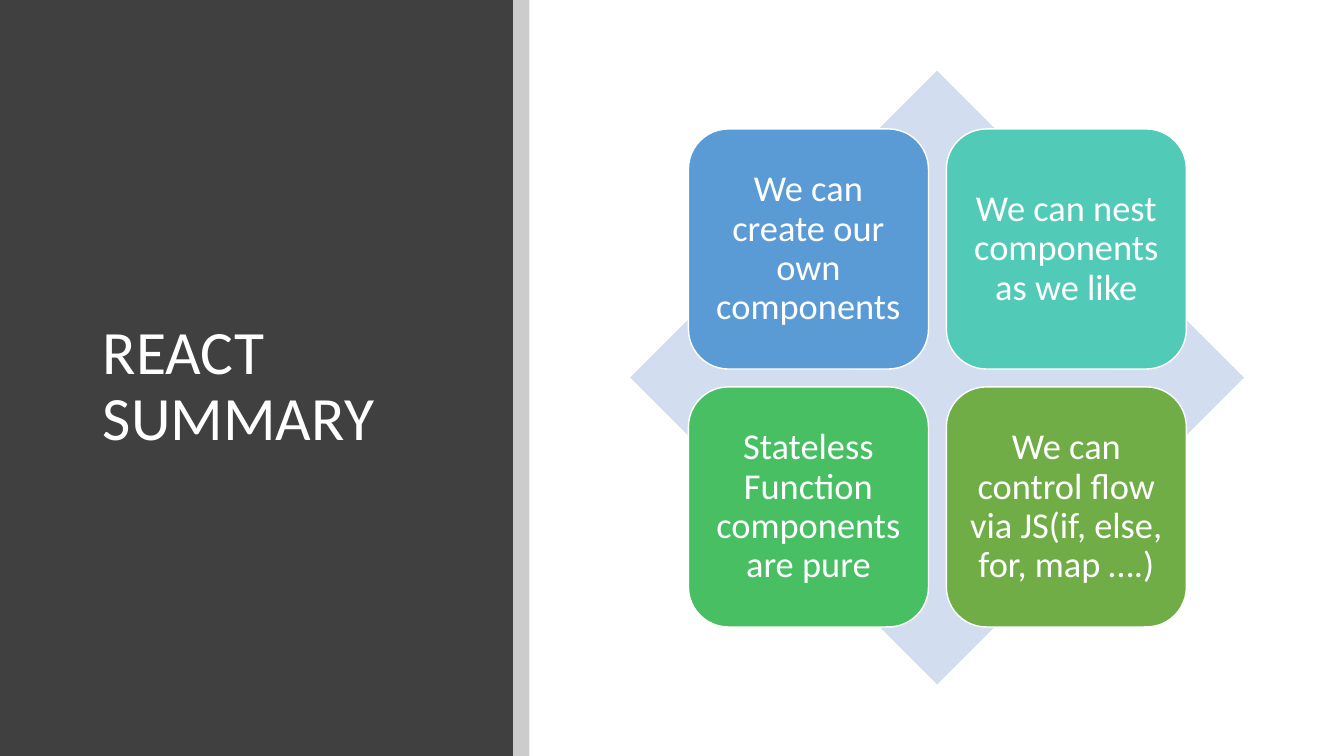
from dataclasses import dataclass

from lxml import etree
from pptx import Presentation
from pptx import util as u
from pptx.dml.color import RGBColor
from pptx.enum import shapes as sh, text as tx
from pptx.oxml import ns
from pptx.shapes.autoshape import Shape
from pptx.text.text import TextFrame

WHITE = RGBColor(0xFF, 0xFF, 0xFF)
BLACK = RGBColor(0x00, 0x00, 0x00)
DARK = RGBColor(0x40, 0x40, 0x40)
PALE = RGBColor(0xD2, 0xDE, 0xEF)
BLUE = RGBColor(0x5B, 0x9B, 0xD5)
TEAL = RGBColor(0x52, 0xCA, 0xB8)
GREEN = RGBColor(0x49, 0xBF, 0x64)
OLIVE = RGBColor(0x70, 0xAD, 0x47)

FONT = "Calibri"
HIGH = 19.05
WIDE = 33.87
PANEL = 12.93
BAND = 0.41
LEFT, TOP = 17.35, 3.25
SIDE, STEP = 6.05, 6.5


@dataclass(frozen=True)
class Box:
    left: float
    top: float
    width: float
    height: float


@dataclass(frozen=True)
class Tile:
    words: str
    fill: RGBColor


TILES = [
    Tile("We can create our own components", BLUE),
    Tile("We can nest components as we like", TEAL),
    Tile("Stateless Function components are pure", GREEN),
    Tile("We can control flow via JS(if, else, for, map ….)", OLIVE),
]


def draw(tree, kind: sh.MSO_SHAPE, box: Box, fill: RGBColor) -> Shape:
    shape = tree.add_shape(kind, u.Cm(box.left), u.Cm(box.top),
                           u.Cm(box.width), u.Cm(box.height))
    shape.shadow.inherit = False
    shape.fill.solid()
    shape.fill.fore_color.rgb = fill
    shape.line.fill.background()
    return shape


def fade(shape: Shape, share: int) -> None:
    color = shape.fill._xPr.find(ns.qn("a:solidFill"))[0]
    etree.SubElement(color, ns.qn("a:alpha")).set("val", str(share * 1000))


def write(frame: TextFrame, words: str, size: int, align: tx.PP_ALIGN) -> None:
    frame.word_wrap = True
    frame.auto_size = tx.MSO_AUTO_SIZE.NONE
    frame.vertical_anchor = tx.MSO_ANCHOR.MIDDLE
    para = frame.paragraphs[0]
    para.alignment = align
    para.line_spacing = 0.9
    run = para.add_run()
    run.text = words
    run.font.name = FONT
    run.font.size = u.Pt(size)
    run.font.color.rgb = WHITE


def add_tile(tree, tile: Tile, spot: int) -> None:
    row, col = divmod(spot, 2)
    box = Box(LEFT + col * STEP, TOP + row * STEP, SIDE, SIDE)
    shape = draw(tree, sh.MSO_SHAPE.ROUNDED_RECTANGLE, box, tile.fill)
    shape.line.color.rgb = WHITE
    shape.line.width = u.Pt(1)
    frame = shape.text_frame
    frame.margin_left = frame.margin_right = u.Cm(0.28)
    frame.margin_top = frame.margin_bottom = u.Cm(0.28)
    write(frame, tile.words, 26, tx.PP_ALIGN.CENTER)


def main() -> None:
    deck = Presentation()
    deck.slide_width, deck.slide_height = u.Cm(WIDE), u.Cm(HIGH)
    slide = deck.slides.add_slide(deck.slide_layouts[5])
    tree = slide.shapes

    title = tree.title
    panel = draw(tree, sh.MSO_SHAPE.RECTANGLE, Box(0, 0, PANEL, HIGH), DARK)
    panel._element.addnext(title._element)
    title.left, title.top = u.Cm(2.34), u.Cm(2.26)
    title.width, title.height = u.Cm(9.27), u.Cm(15.01)
    write(title.text_frame, "REACT SUMMARY", 44, tx.PP_ALIGN.LEFT)

    band = draw(tree, sh.MSO_SHAPE.RECTANGLE, Box(PANEL, 0, BAND, HIGH), BLACK)
    fade(band, 20)

    group = tree.add_group_shape().shapes
    draw(group, sh.MSO_SHAPE.DIAMOND, Box(15.88, 1.78, 15.47, 15.47), PALE)
    for spot, tile in enumerate(TILES):
        add_tile(group, tile, spot)

    deck.save("out.pptx")


if __name__ == "__main__":
    main()
